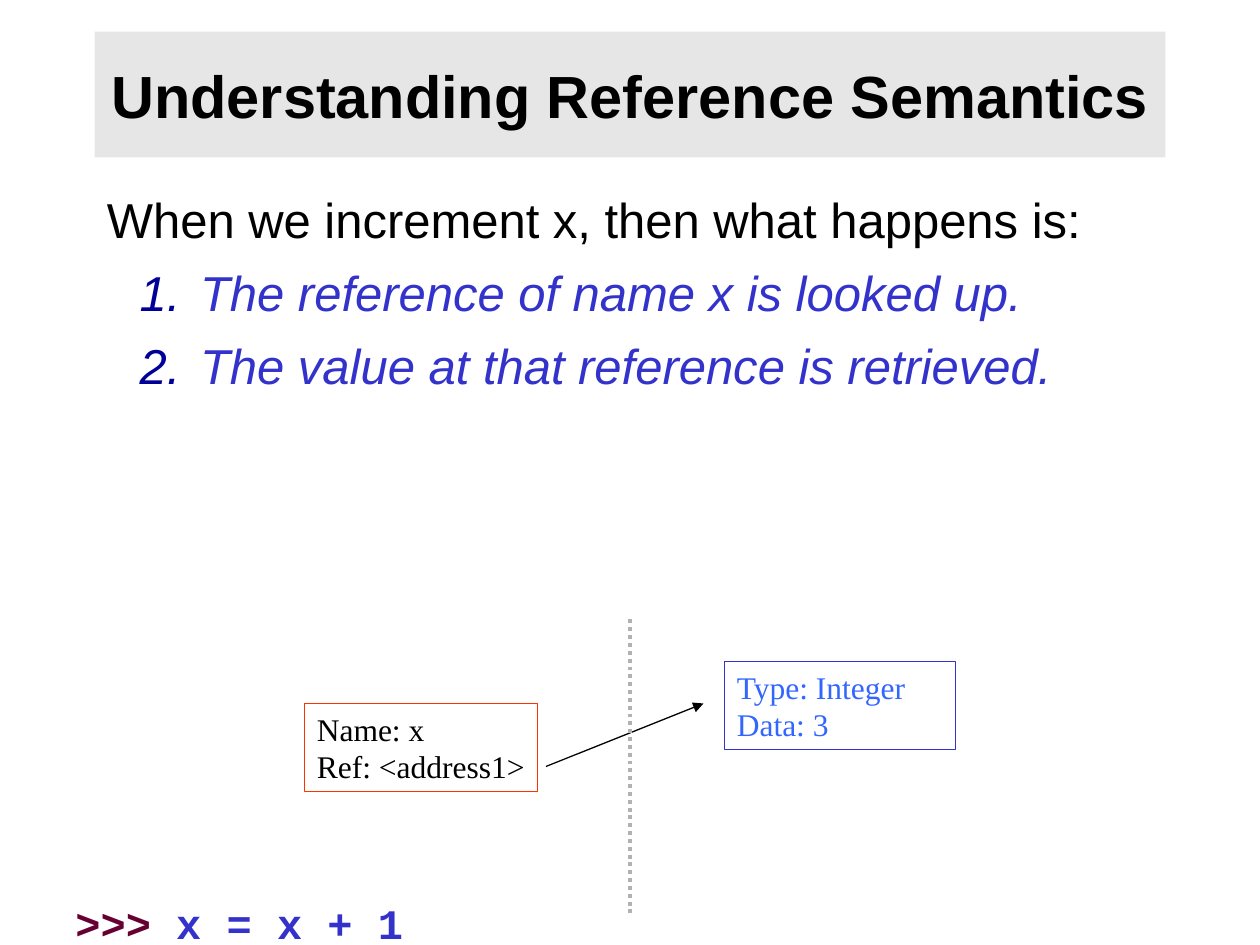
from dataclasses import dataclass

from lxml import etree
from pptx import Presentation
from pptx import util as u
from pptx.dml.color import RGBColor
from pptx.enum import dml, shapes, text
from pptx.oxml import ns

CELL = 1 / 12  # grid unit in inches: the slide is 120 columns by 90 rows


@dataclass(frozen=True)
class Theme:
    black: str = "000000"
    band: str = "E6E6E6"
    blue: str = "3333CC"
    light_blue: str = "3366FF"
    number: str = "000099"
    red: str = "FF3300"
    prompt: str = "660033"
    divider: str = "B2B2B2"
    sans: str = "Arial"
    serif: str = "Times New Roman"
    mono: str = "Courier New"
    title_size: int = 34
    body_size: int = 28
    code_size: int = 24
    box_size: int = 18


def grid(*cells):
    return [u.Inches(c * CELL) for c in cells]


def sub(parent, tag, **attrs):
    return etree.SubElement(parent, ns.qn(tag), attrs)


def add_text(p, words, size=18, font="Arial", color="000000", bold=False, italic=False):
    r = p.add_run()
    r.text = words
    f = r.font
    f.size, f.name, f.bold, f.italic = u.Pt(size), font, bold, italic
    f.color.rgb = RGBColor.from_string(color)


def indent(p, margin, first=0, level=1):
    p.level = level
    pPr = p._p.get_or_add_pPr()
    pPr.set("marL", str(u.Inches(margin)))
    pPr.set("indent", str(u.Inches(first)))
    return pPr


class SlideBuilder:
    def __init__(self, prs, theme):
        self.theme = theme
        self.slide = prs.slides.add_slide(prs.slide_layouts[5])

    def title(self, words, *cells):
        t = self.theme
        sp = self.slide.shapes.title
        sp.left, sp.top, sp.width, sp.height = grid(*cells)
        sp.fill.solid()
        sp.fill.fore_color.rgb = RGBColor.from_string(t.band)
        tf = sp.text_frame
        tf.auto_size = text.MSO_AUTO_SIZE.NONE
        tf.vertical_anchor = text.MSO_ANCHOR.MIDDLE
        p = tf.paragraphs[0]
        p.alignment = text.PP_ALIGN.CENTER
        add_text(p, words, t.title_size, t.sans, t.black, bold=True)

    def text_box(self, *cells, top_inset=0.05):
        tf = self.slide.shapes.add_textbox(*grid(*cells)).text_frame
        tf.word_wrap = True
        tf.margin_top = u.Inches(top_inset)
        return tf

    def steps(self, lead, items, *cells):
        """Lead sentence followed by numbered steps."""
        t = self.theme
        tf = self.text_box(*cells, top_inset=0.09)
        add_text(tf.paragraphs[0], lead, t.body_size, t.sans, t.black)
        for item in items:
            p = tf.add_paragraph()
            p.space_before = u.Pt(8)
            pPr = indent(p, 0.74, -0.48)
            sub(sub(pPr, "a:buClr"), "a:srgbClr", val=t.number)
            sub(pPr, "a:buFont", typeface=t.sans)
            sub(pPr, "a:buAutoNum", type="arabicPeriod")
            add_text(p, item, t.body_size, t.sans, t.blue, italic=True)

    def code(self, prompt, statement, *cells):
        t = self.theme
        p = self.text_box(*cells, top_inset=0.13).paragraphs[0]
        indent(p, 0.5)
        for words, color in ((prompt, t.prompt), (statement, t.blue)):
            add_text(p, words, t.code_size, t.mono, color, bold=True)

    def record(self, lines, outline, color, *cells, wrap=True):
        """Outlined box showing one object in memory."""
        t = self.theme
        sp = self.slide.shapes.add_shape(shapes.MSO_SHAPE.RECTANGLE, *grid(*cells))
        sp.shadow.inherit = False
        sp.fill.background()
        sp.line.color.rgb = RGBColor.from_string(outline)
        sp.line.width = u.Pt(0.75)
        tf = sp.text_frame
        tf.word_wrap = wrap
        tf.vertical_anchor = text.MSO_ANCHOR.TOP
        for i, line in enumerate(lines):
            p = tf.add_paragraph() if i else tf.paragraphs[0]
            p.alignment = text.PP_ALIGN.LEFT
            add_text(p, line, t.box_size, t.serif, color)

    def line(self, color, width, *cells, dash=None, arrow=False):
        c = self.slide.shapes.add_connector(shapes.MSO_CONNECTOR.STRAIGHT, *grid(*cells))
        c.line.color.rgb = RGBColor.from_string(color)
        c.line.width = u.Pt(width)
        if dash:
            c.line.dash_style = dash
        if arrow:
            sub(c.line._get_or_add_ln(), "a:tailEnd", type="triangle")
        sub(c._element.spPr, "a:effectLst")


def main():
    prs = Presentation()
    prs.slide_width, prs.slide_height = grid(120, 90)
    t = Theme()
    s = SlideBuilder(prs, t)
    s.title("Understanding Reference Semantics", 9, 3, 102, 12)
    s.steps("When we increment x, then what happens is:",
            ["The reference of name x is looked up.",
             "The value at that reference is retrieved."],
            9, 17, 102, 65)
    s.record(["Type: Integer", "Data: 3"], t.blue, t.light_blue, 69, 63, 22, 8.4)
    s.record(["Name: x", "Ref: <address1>"], t.red, t.black, 29, 67, 22.2, 8.4, wrap=False)
    s.line(t.black, 0.75, 52, 73, 67, 67, arrow=True)
    s.line(t.divider, 2.25, 60, 59, 60, 87, dash=dml.MSO_LINE.ROUND_DOT)
    s.code(">>> ", "x = x + 1", 0, 83.9, 44, 13.3)
    prs.save("out.pptx")


if __name__ == "__main__":
    main()
